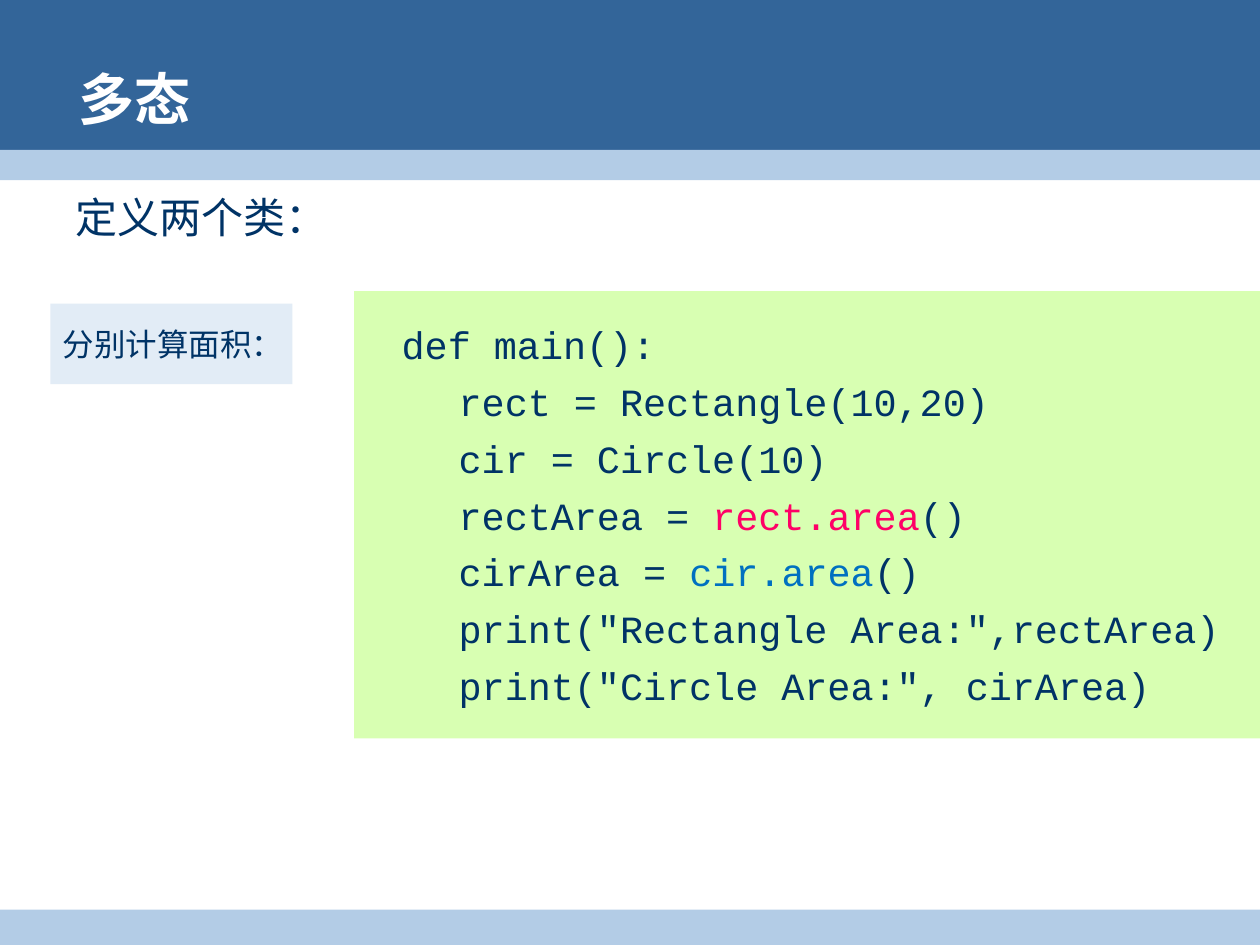
"""Build the slide on polymorphism with its code listing."""
from lxml.etree import SubElement
from pptx import Presentation
from pptx.dml.color import RGBColor
from pptx.enum.shapes import MSO_SHAPE as Shape
from pptx.enum.text import MSO_ANCHOR as Anchor, MSO_AUTO_SIZE as AutoSize, PP_ALIGN as Align
from pptx.oxml.ns import qn
from pptx.util import Inches, Pt

NAVY, WHITE, BLUE, PALE_BLUE = "003366", "FFFFFF", "336599", "B3CCE6"
LABEL_FILL, CODE_FILL, PINK, BRIGHT_BLUE = "E2ECF6", "CCFF99", "FF0066", "0070C0"
CODE = [
    [("def main():", NAVY)],
    [("    rect = Rectangle(10,20)", NAVY)],
    [("    cir = Circle(10)", NAVY)],
    [("    rectArea = ", NAVY), ("rect.area", PINK), ("()", NAVY)],
    [("    cirArea = ", NAVY), ("cir.area", BRIGHT_BLUE), ("()", NAVY)],
    [('    print("Rectangle Area:",rectArea)', NAVY)],
    [('    print("Circle Area:", cirArea)', NAVY)],
]


def color(value):
    return RGBColor.from_string(value)


class SlideBuilder:
    def __init__(self, slide, font="Arial", code_font="Courier New"):
        self.slide, self.font, self.code_font = slide, font, code_font

    def style(self, paragraph, size, font, text_color=None, bold=False):
        paragraph.alignment = Align.LEFT
        paragraph.font.size, paragraph.font.name = Pt(size), font
        paragraph.font.bold = bold
        if text_color:
            paragraph.font.color.rgb = color(text_color)

    def rectangle(self, left, top, width, height, fill, opacity=100):
        shape = self.slide.shapes.add_shape(
            Shape.RECTANGLE, Inches(left), Inches(top), Inches(width), Inches(height))
        shape.shadow.inherit = False
        shape.line.fill.background()
        shape.fill.solid()
        shape.fill.fore_color.rgb = color(fill)
        if opacity < 100:
            rgb = shape.fill._xPr.find(".//" + qn("a:srgbClr"))
            SubElement(rgb, qn("a:alpha"), val=str(opacity * 1000))
        frame = shape.text_frame
        frame.word_wrap, frame.vertical_anchor = True, Anchor.MIDDLE
        return shape

    def placeholder(self, shape, text, left, top, width, height, size, text_color,
                    anchor, bold=False, inset=0.1):
        shape.left, shape.top = Inches(left), Inches(top)
        shape.width, shape.height = Inches(width), Inches(height)
        self.slide.shapes._spTree.append(shape._element)
        frame = shape.text_frame
        frame.text, frame.vertical_anchor = text, anchor
        frame.auto_size, frame.margin_left = AutoSize.NONE, Inches(inset)
        paragraph = frame.paragraphs[0]
        properties = paragraph._p.get_or_add_pPr()
        properties.set("marL", "0")
        properties.set("indent", "0")
        SubElement(properties, qn("a:buNone"))
        paragraph.space_before = Pt(0)
        self.style(paragraph, size, self.font, text_color, bold)

    def label(self, text, left, top, width, height, fill):
        frame = self.rectangle(left, top, width, height, fill).text_frame
        frame.text = text
        self.style(frame.paragraphs[0], 18, self.font, NAVY)

    def code(self, lines, left, top, width, height, fill):
        frame = self.rectangle(left, top, width, height, fill, opacity=75).text_frame
        for index, line in enumerate(lines):
            paragraph = frame.add_paragraph() if index else frame.paragraphs[0]
            paragraph.space_after = Pt(6)
            self.style(paragraph, 22, self.code_font)
            for text, text_color in line:
                run = paragraph.add_run()
                run.text = text
                run.font.color.rgb = color(text_color)
        frame.paragraphs[0]._p.get_or_add_pPr().set("marL", str(Inches(0.28)))


def main():
    presentation = Presentation()
    presentation.slide_width, presentation.slide_height = Inches(10), Inches(7.5)
    slide = presentation.slides.add_slide(presentation.slide_layouts[1])
    builder = SlideBuilder(slide)
    title, body = slide.shapes.title, slide.placeholders[1]
    builder.rectangle(0, 0, 10, 1.31, BLUE)
    builder.rectangle(0, 1.19, 10, 0.24, PALE_BLUE)
    builder.rectangle(0, 7.22, 10, 0.28, PALE_BLUE)
    builder.placeholder(title, "多态", 0.4, 0.49, 9.06, 0.58, 32, WHITE,
                        Anchor.MIDDLE, bold=True, inset=0.22)
    builder.placeholder(body, "定义两个类：", 0.5, 1.47, 9, 5.23, 24, NAVY, Anchor.TOP)
    builder.code(CODE, 2.81, 2.31, 7.19, 3.55, CODE_FILL)
    builder.label("分别计算面积：", 0.4, 2.41, 1.92, 0.64, LABEL_FILL)
    presentation.save("out.pptx")


if __name__ == "__main__":
    main()
